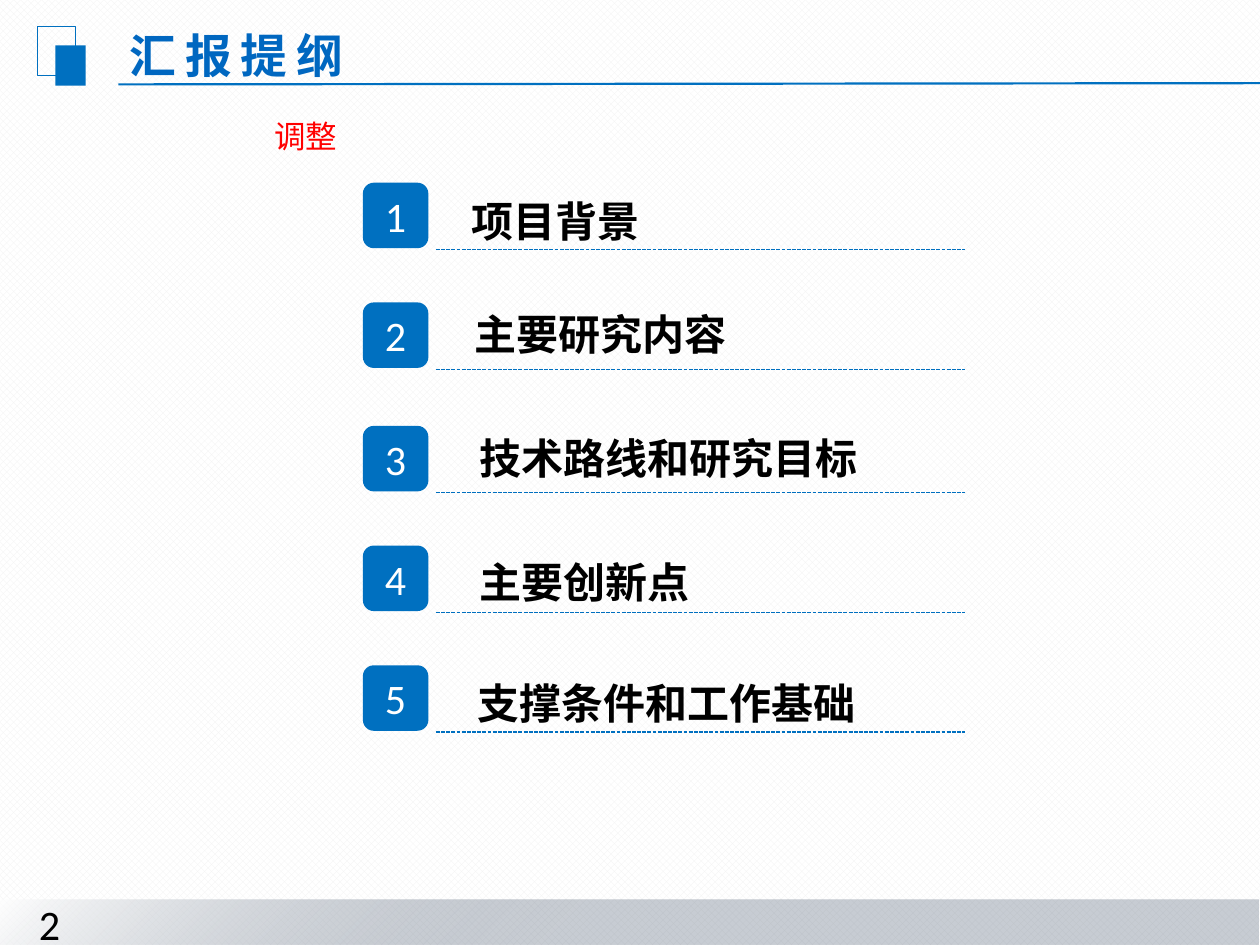
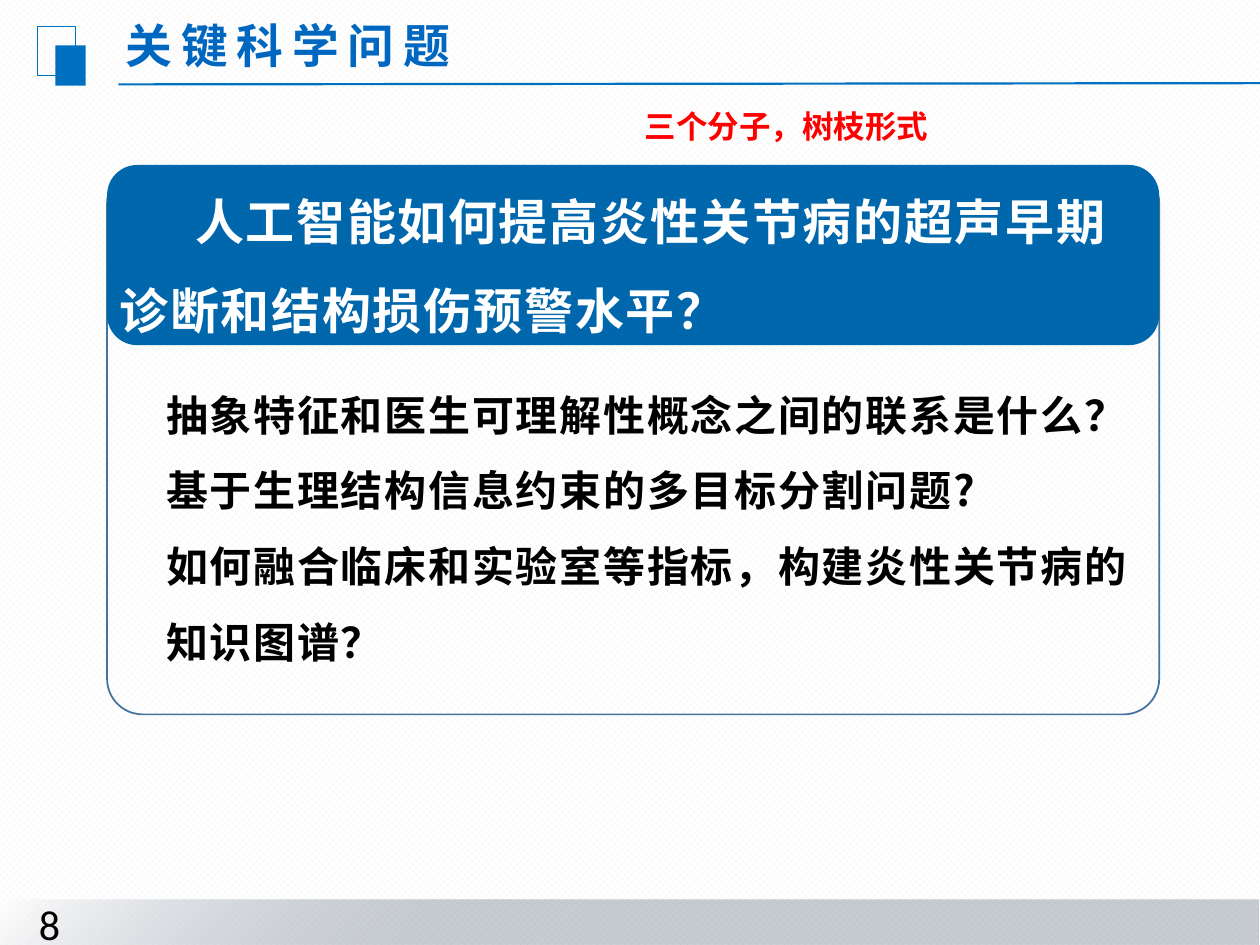
from dataclasses import dataclass

from pptx import Presentation
from pptx.dml.color import RGBColor
from pptx.enum.dml import MSO_LINE, MSO_PATTERN
from pptx.enum.lang import MSO_LANGUAGE_ID
from pptx.enum.shapes import MSO_CONNECTOR, MSO_SHAPE as Preset
from pptx.enum.text import MSO_ANCHOR, MSO_AUTO_SIZE, PP_ALIGN
from pptx.oxml import parse_xml
from pptx.oxml.ns import nsdecls, qn
from pptx.shapes.autoshape import Shape
from pptx.shapes.connector import Connector
from pptx.slide import Slide
from pptx.util import Emu, Pt

PX = 9144  # 100 px to the inch
BLUE, TITLE_BLUE, BAND_BLUE, FRAME_BLUE = "0070C0", "0067C0", "0067AC", "43739E"
BLACK, WHITE, RED, PATTERN_GREY = "000000", "FFFFFF", "FF0000", "F2F2F2"
LATIN, CHINESE = "Calibri", "Noto Sans CJK SC"


@dataclass(frozen=True)
class Box:
    left: int
    top: int
    width: int
    height: int


@dataclass(frozen=True)
class TextStyle:
    size: float
    color: str
    font: str = CHINESE
    bold: bool = True
    tracking: float = 0
    line_spacing: float | None = None


@dataclass(frozen=True)
class AgendaItem:
    text: str
    top: int
    label: Box


TITLE = TextStyle(26.7, TITLE_BLUE, tracking=5)
NUMBER = TextStyle(24, WHITE, LATIN, bold=False)
PAGE_NUMBER = TextStyle(24, BLACK, LATIN, bold=False)
AGENDA = TextStyle(24, BLACK)
REMARK = TextStyle(18, RED, LATIN, bold=False)
BOLD_REMARK = TextStyle(18, RED, LATIN)
HEADLINE = TextStyle(28, WHITE, tracking=1, line_spacing=1.5)
QUESTION = TextStyle(24, BLACK, tracking=1, line_spacing=1.5)

AGENDA_ITEMS = [
    AgendaItem("项目背景", 145, Box(364, 150, 155, 50)),
    AgendaItem("主要研究内容", 240, Box(367, 240, 222, 50)),
    AgendaItem("技术路线和研究目标", 338, Box(371, 338, 323, 50)),
    AgendaItem("主要创新点", 433, Box(371, 437, 188, 50)),
    AgendaItem("支撑条件和工作基础", 528, Box(369, 533, 323, 50)),
]
BADGE_LEFT, BADGE_SIZE = 288, 52
RULE_LEFT, RULE_RIGHT, RULE_DROP = 346, 766, 53

QUESTIONS = [
    "抽象特征和医生可理解性概念之间的联系是什么？",
    "基于生理结构信息约束的多目标分割问题?",
    "如何融合临床和实验室等指标，构建炎性关节病的知识图谱？",
]


def px(length: int) -> Emu:
    return Emu(length * PX)


def rgb(color: str) -> RGBColor:
    return RGBColor.from_string(color)


def write(shape: Shape, lines: list[str], style: TextStyle) -> None:
    """Fill a shape with paragraphs of one style."""
    frame = shape.text_frame
    frame.text = "\n".join(lines)
    for paragraph in frame.paragraphs:
        if style.line_spacing:
            paragraph.line_spacing = style.line_spacing
        for run in paragraph.runs:
            font = run.font
            font.size, font.bold, font.name = Pt(style.size), style.bold, style.font
            font.color.rgb = rgb(style.color)
            font.language_id = MSO_LANGUAGE_ID.SIMPLIFIED_CHINESE
            properties = run._r.get_or_add_rPr()
            if style.tracking:
                properties.set("spc", str(int(style.tracking * 100)))
            properties.find(qn("a:latin")).addnext(
                parse_xml(f'<a:ea {nsdecls("a")} typeface="{CHINESE}"/>'))


def add_text(slide: Slide, box: Box, lines: list[str], style: TextStyle,
             wrap: bool = True) -> Shape:
    shape = slide.shapes.add_textbox(px(box.left), px(box.top), px(box.width), px(box.height))
    shape.text_frame.word_wrap = wrap
    shape.text_frame.auto_size = MSO_AUTO_SIZE.SHAPE_TO_FIT_TEXT
    write(shape, lines, style)
    return shape


def add_panel(slide: Slide, preset: Preset, box: Box, fill: str | None = None,
              line: str | None = None, weight: float = 0.75) -> Shape:
    shape = slide.shapes.add_shape(
        preset, px(box.left), px(box.top), px(box.width), px(box.height))
    shape.shadow.inherit = False
    if fill:
        shape.fill.solid()
        shape.fill.fore_color.rgb = rgb(fill)
    else:
        shape.fill.background()
    if line:
        shape.line.color.rgb = rgb(line)
        shape.line.width = Pt(weight)
    else:
        shape.line.fill.background()
    return shape


def add_line(slide: Slide, start: tuple[int, int], end: tuple[int, int],
             weight: float) -> Connector:
    line = slide.shapes.add_connector(
        MSO_CONNECTOR.STRAIGHT, *(px(value) for value in (*start, *end)))
    line.line.color.rgb = rgb(BLUE)
    line.line.width = Pt(weight)
    line._element.spPr.append(parse_xml(f'<a:effectLst {nsdecls("a")}/>'))
    return line


def add_footer_band(slide: Slide) -> None:
    """Grey band that fades to white at the left."""
    band = add_panel(slide, Preset.RECTANGLE, Box(0, 714, 999, 36))
    stops = "".join(
        f'<a:gs pos="{position}000"><a:srgbClr val="{color}">'
        f'<a:alpha val="{alpha}000"/></a:srgbClr></a:gs>'
        for position, color, alpha in ((55, "44546A", 29), (100, WHITE, 69)))
    gradient = parse_xml(
        f'<a:gradFill {nsdecls("a")} rotWithShape="1"><a:gsLst>{stops}</a:gsLst>'
        '<a:path path="circle"><a:fillToRect l="100000" t="100000"/></a:path></a:gradFill>')
    properties = band._element.spPr
    properties.replace(properties.find(qn("a:noFill")), gradient)


def add_base_slide(presentation: Presentation, number: int, title: str,
                   title_box: Box) -> Slide:
    """Blank slide with background, title mark, rule, footer and title."""
    slide = presentation.slides.add_slide(presentation.slide_layouts[6])
    background = slide.background.fill
    background.patterned()
    background.pattern = MSO_PATTERN.from_xml("openDmnd")
    background.fore_color.rgb = rgb(PATTERN_GREY)
    background.back_color.rgb = rgb(WHITE)

    add_footer_band(slide)
    add_panel(slide, Preset.RECTANGLE, Box(44, 36, 24, 32), fill=BLUE)
    add_panel(slide, Preset.RECTANGLE, Box(30, 21, 30, 39), line=BLUE)
    add_line(slide, (94, 67), (1000, 66), 1.25)
    add_text(slide, Box(21, 708, 89, 50), [str(number)], PAGE_NUMBER)
    add_text(slide, title_box, [title], TITLE, wrap=False)
    return slide


def build_agenda(presentation: Presentation) -> None:
    slide = add_base_slide(presentation, 2, "汇报提纲", Box(93, 16, 198, 55))
    for number, item in enumerate(AGENDA_ITEMS, start=1):
        badge = add_panel(slide, Preset.ROUNDED_RECTANGLE,
                          Box(BADGE_LEFT, item.top, BADGE_SIZE, BADGE_SIZE), fill=BLUE)
        frame = badge.text_frame
        frame.margin_left = frame.margin_right = px(7)
        frame.margin_top = frame.margin_bottom = px(4)
        frame.vertical_anchor = MSO_ANCHOR.MIDDLE
        write(badge, [str(number)], NUMBER)
        frame.paragraphs[0].alignment = PP_ALIGN.CENTER

        rule_top = item.top + RULE_DROP
        rule = add_line(slide, (RULE_LEFT, rule_top), (RULE_RIGHT, rule_top), 0.75)
        rule.line.dash_style = MSO_LINE.SQUARE_DOT
        add_text(slide, item.label, [item.text], AGENDA, wrap=False)
    add_text(slide, Box(208, 88, 71, 40), ["调整"], REMARK, wrap=False)


def build_questions(presentation: Presentation) -> None:
    slide = add_base_slide(presentation, 8, "关键科学问题", Box(90, 8, 360, 55))

    # Frame with its headline band
    frame = add_panel(slide, Preset.ROUNDED_RECTANGLE, Box(85, 133, 835, 434),
                      line=FRAME_BLUE, weight=1)
    frame.adjustments[0] = 0.065
    add_panel(slide, Preset.ROUNDED_RECTANGLE, Box(85, 131, 835, 143), fill=BAND_BLUE)
    headline = add_text(slide, Box(85, 124, 835, 143),
                        ["人工智能如何提高炎性关节病的超声早期诊断和结构损伤预警水平？"], HEADLINE)
    headline.text_frame.paragraphs[0]._p.get_or_add_pPr().set("indent", str(px(60)))

    # Questions and remark
    add_text(slide, Box(122, 284, 787, 245), QUESTIONS, QUESTION)
    add_text(slide, Box(502, 80, 266, 40), ["三个分子，树枝形式"], BOLD_REMARK)


def main() -> None:
    presentation = Presentation()
    presentation.slide_width, presentation.slide_height = px(1000), px(750)
    build_agenda(presentation)
    build_questions(presentation)
    presentation.save("out.pptx")


if __name__ == "__main__":
    main()
